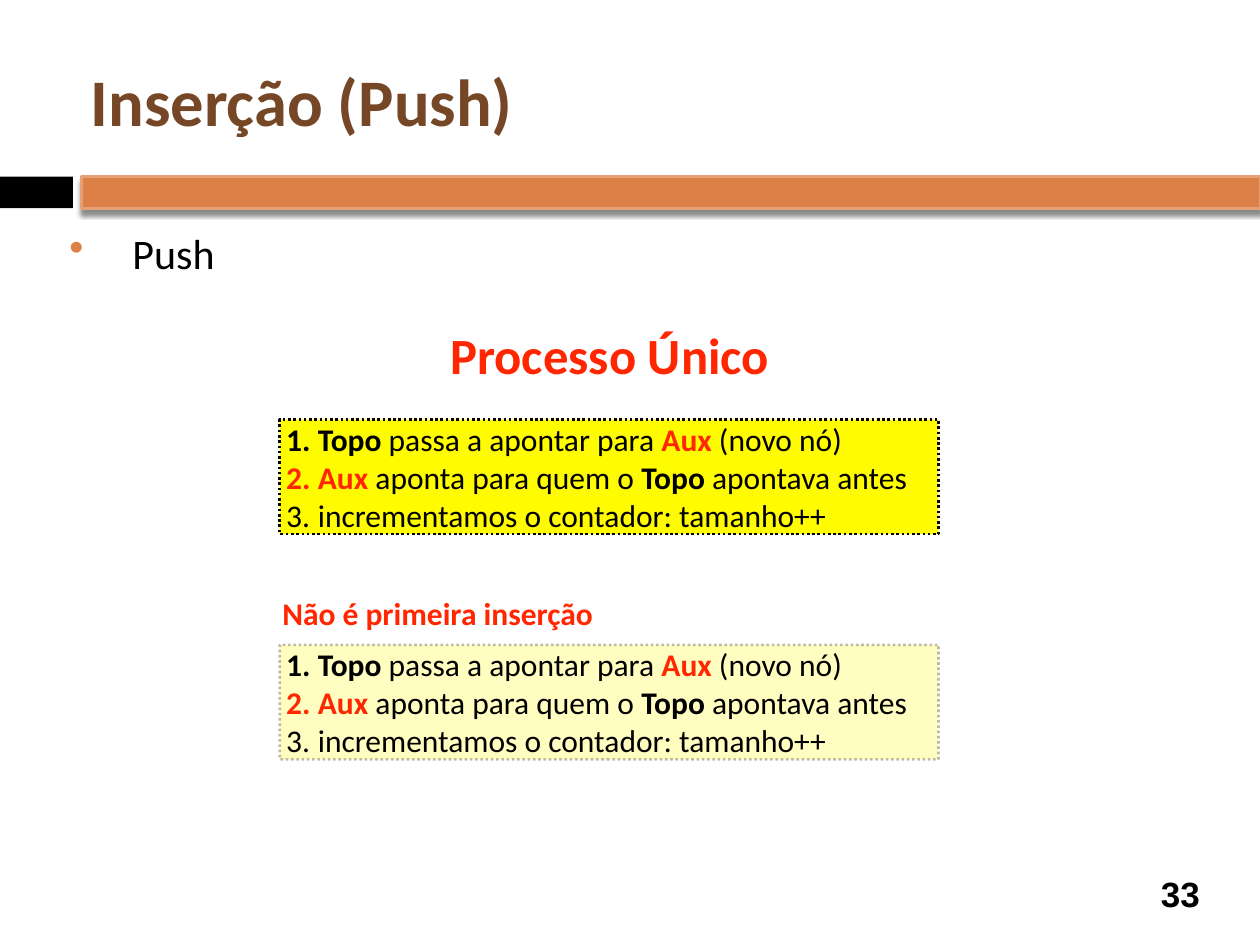
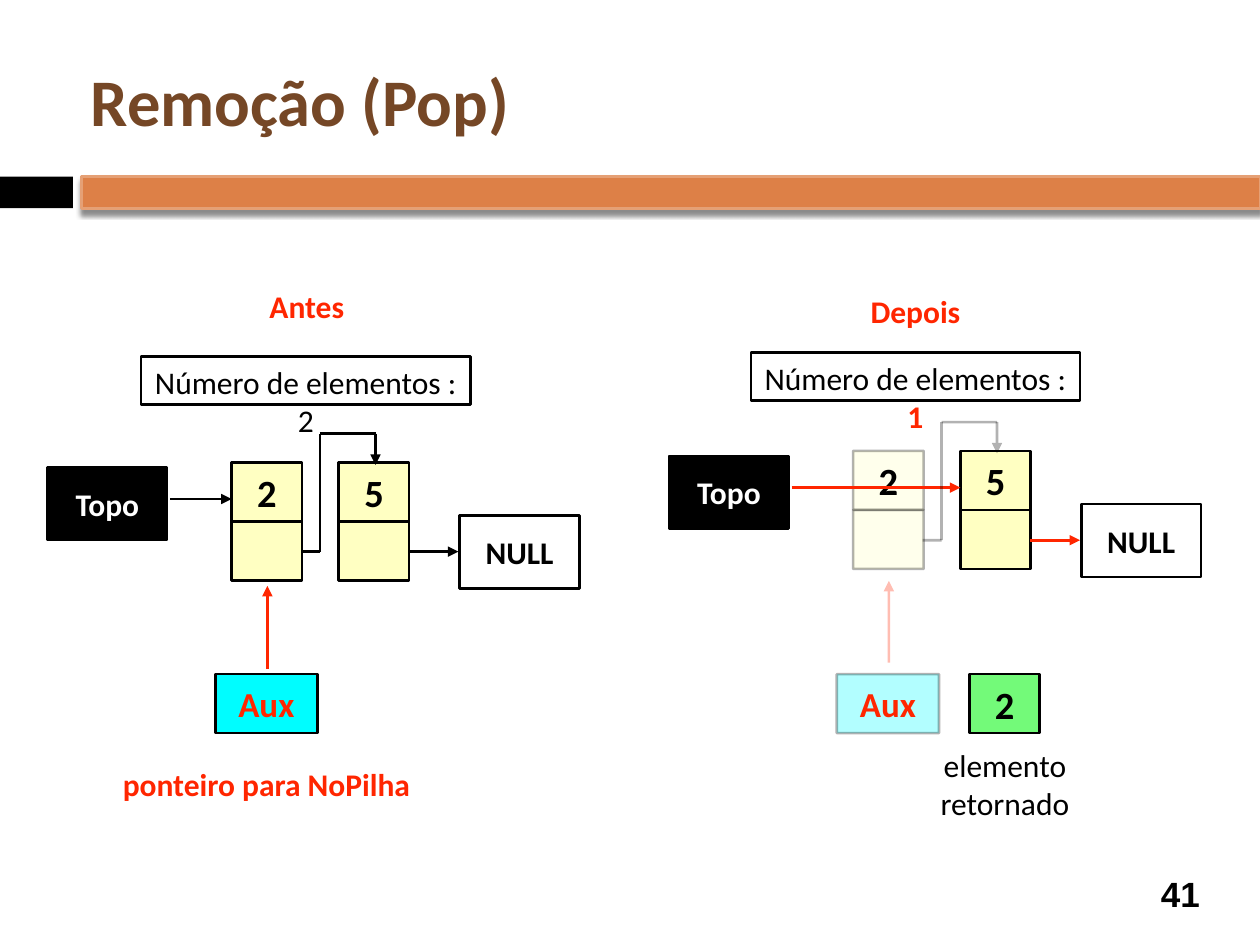
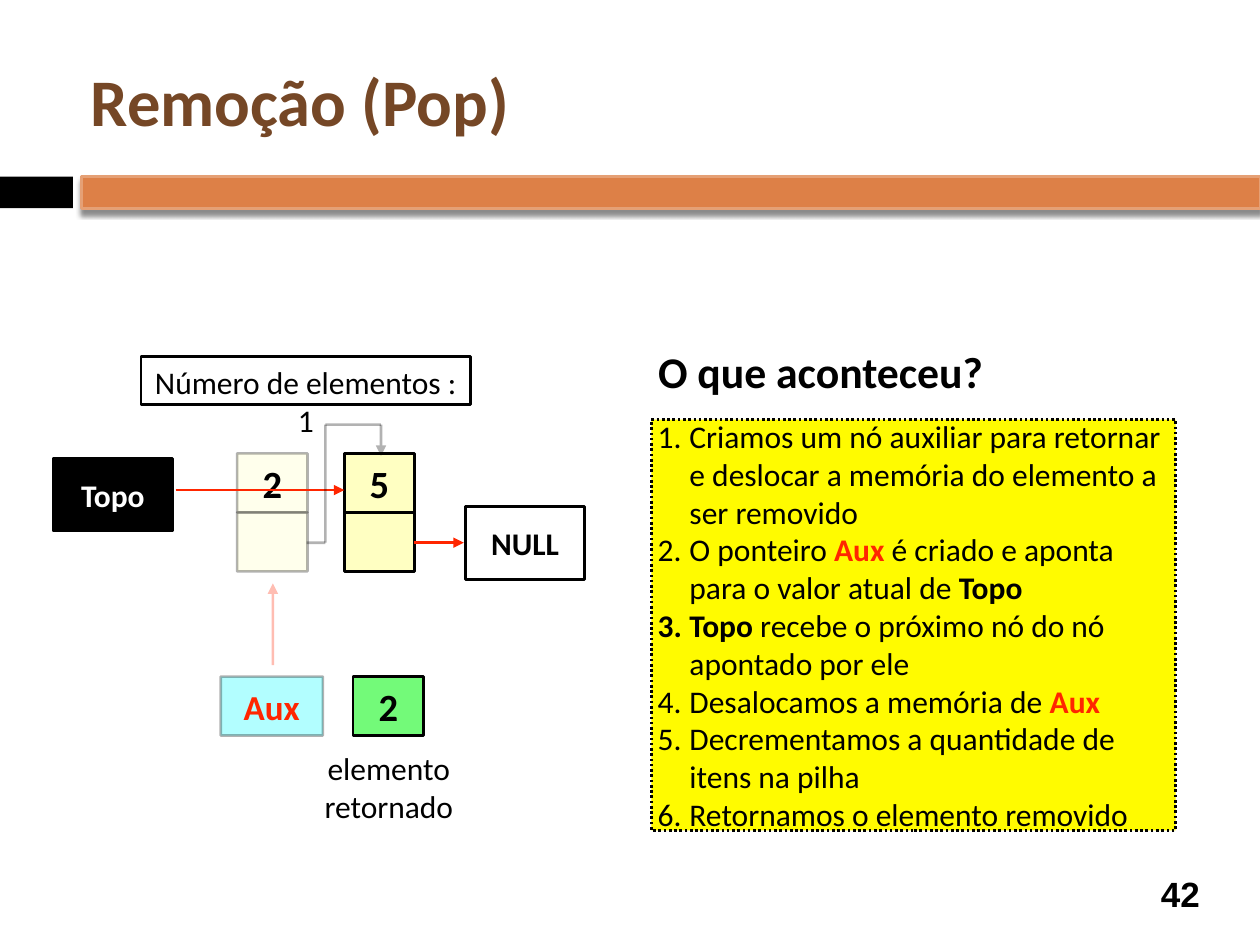
from lxml.etree import SubElement
from pptx import Presentation
from pptx.dml.color import RGBColor
from pptx.enum.dml import MSO_LINE
from pptx.enum.shapes import MSO_CONNECTOR, MSO_SHAPE
from pptx.enum.text import MSO_ANCHOR as Anchor, PP_ALIGN as Align
from pptx.oxml.ns import qn
from pptx.util import Cm, Pt

BLACK, WHITE, RED = "000000", "FFFFFF", "FF2600"
BROWN, ORANGE, EDGE = "754726", "DD8047", "E5A075"
YELLOW, CREAM, CYAN, GREEN = "FFFB00", "FFFFC2", "00FDFF", "73FA79"
FADE = 30

PUSH = [
    "|Topo| passa a apontar para |Aux| (novo nó)",
    "|Aux| aponta para quem o |Topo| apontava antes",
    "incrementamos o contador: tamanho++",
]
POP = [
    "Criamos um nó auxiliar para retornar e deslocar a memória do elemento a ser removido",
    "O ponteiro |Aux| é criado e aponta para o valor atual de |Topo|",
    "|Topo| recebe o próximo nó do nó apontado por ele",
    "Desalocamos a memória de |Aux|",
    "Decrementamos a quantidade de itens na pilha",
    "Retornamos o elemento removido",
]
COUNT = "Número de elementos : "
COUNT_AT = (2.84, 7.19, 6.65, 0.97)

NODE_W, NODE_H, STEP = 1.42, 1.19, 2.16
TAG = (2.41, 1.47)
MID = 1.8
HOP = [(1.4, MID), (1.78, MID), (1.78, -0.58), (2.9, -0.58), (2.9, 0.05)]


def color(code):
    return RGBColor.from_string(code)


def fade(shape, alpha):
    if alpha < 100:
        for node in shape.element.spPr.iter(qn("a:srgbClr")):
            SubElement(node, qn("a:alpha"), val=str(alpha * 1000))


def bullet(par, indent, tag, attrs, tint=None):
    props = par._p.get_or_add_pPr()
    props.set("marL", str(Cm(indent)))
    props.set("indent", str(-Cm(indent)))
    if tint:
        SubElement(SubElement(props, qn("a:buClr")), qn("a:srgbClr"), val=tint)
    SubElement(props, qn(tag), attrs)


def write(shape, lines, size=18, tint=BLACK, bold=False, align=Align.CENTER,
          anchor=Anchor.MIDDLE, wrap=True, face="Calibri"):
    frame = shape.text_frame
    frame.word_wrap = wrap
    frame.vertical_anchor = anchor
    frame.margin_left = frame.margin_right = Cm(0.13)
    frame.margin_top = frame.margin_bottom = Cm(0.13)
    for i, line in enumerate(lines):
        par = frame.add_paragraph() if i else frame.paragraphs[0]
        par.alignment = align
        font = par.font
        font.name, font.size, font.bold = face, Pt(size), bold
        font.color.rgb = color(tint)
        for j, part in enumerate(line.split("|")):
            if part:
                run = par.add_run()
                run.text = part
                if j % 2:
                    run.font.bold = True
                    run.font.color.rgb = color(BLACK if part == "Topo" else RED)
    return frame.paragraphs


def text(slide, at, *lines, **style):
    return write(slide.shapes.add_textbox(*map(Cm, at)), lines, **style)


def box(slide, at, fill=None, edge=BLACK, alpha=100, dots=False):
    shape = slide.shapes.add_shape(MSO_SHAPE.RECTANGLE, *map(Cm, at))
    shape.shadow.inherit = False
    if fill:
        shape.fill.solid()
        shape.fill.fore_color.rgb = color(fill)
    else:
        shape.fill.background()
    if edge:
        shape.line.color.rgb = color(edge)
        shape.line.width = Pt(1.5)
    else:
        shape.line.fill.background()
    if dots:
        shape.line.dash_style = MSO_LINE.ROUND_DOT
    fade(shape, alpha)
    return shape


def line(slide, start, end, tint=BLACK, alpha=100, head=True):
    link = slide.shapes.add_connector(MSO_CONNECTOR.STRAIGHT, *map(Cm, start + end))
    link.line.color.rgb = color(tint)
    link.line.width = Pt(1.5)
    fade(link, alpha)
    props = link.element.spPr
    if head:
        SubElement(props.find(qn("a:ln")), qn("a:tailEnd"), type="triangle")
    SubElement(props, qn("a:effectLst"))


def steps(slide, at, items, alpha=100):
    shape = box(slide, at, YELLOW, alpha=alpha, dots=True)
    for par in write(shape, items, align=Align.LEFT):
        bullet(par, 0.64, "a:buAutoNum", {"type": "arabicPeriod"})


def count(slide, at, value):
    write(box(slide, at), [COUNT + value], anchor=Anchor.TOP)


def stack(slide, left, top, popped):
    alpha = FADE if popped else 100
    tint = RED if popped else BLACK
    low, tail, tip = (4.5, 4.27, 2.62) if popped else (4.27, 4.17, 2.49)

    def pos(x, y):
        return left + x, top + y

    def label(x, y, size, word, fill, ink=BLACK, pt=18, see=100):
        shape = box(slide, pos(x, y) + size, fill, alpha=see)
        write(shape, [word], pt, ink, True)

    cell = (NODE_W, NODE_H)
    for i, (value, see) in enumerate([("2", alpha), ("5", 100)]):
        box(slide, pos(i * STEP, NODE_H) + cell, CREAM, alpha=see)
        label(i * STEP, 0, cell, value, CREAM, pt=22, see=see)
    label(-3.71, 0.1, TAG, "Topo", BLACK, WHITE)
    label(4.6, 1.07, TAG, "NULL", WHITE)
    label(-0.33, low, (2.06, NODE_H), "Aux", CYAN, RED, 20, alpha)

    line(slide, pos(3.56, MID), pos(4.57, MID), tint)
    line(slide, pos(-1.24, 0.74), pos(STEP if popped else 0, 0.74), tint)
    for i, (a, b) in enumerate(zip(HOP, HOP[1:]), 2):
        line(slide, pos(*a), pos(*b), alpha=alpha, head=i == len(HOP))
    line(slide, pos(0.72, tail), pos(0.72, tip), RED, alpha)

    if popped:
        label(2.34, low, cell, "2", GREEN, pt=22)
        text(slide, pos(1.37, 5.92) + (3.38, 1.6), "elemento", "retornado")


def page(deck, title, number):
    slide = deck.slides.add_slide(deck.slide_layouts[6])
    box(slide, (0, 3.56, 1.47, 0.64), BLACK, None)
    band = box(slide, (1.65, 3.56, 23.75, 0.64), ORANGE, EDGE)
    shade = SubElement(band.element.spPr.find(qn("a:effectLst")), qn("a:outerShdw"),
                       blurRad=str(Pt(3)), dist=str(Pt(2.4)), dir="5400000", rotWithShape="0")
    tone = SubElement(shade, qn("a:srgbClr"), val=BLACK)
    SubElement(tone, qn("a:alpha"), val="45000")
    text(slide, (23.06, 17.5, 1.47, 1.04), number, size=20, bold=True, face="Arial")
    text(slide, (1.7, 0.64, 22.66, 2.74), title, size=38, tint=BROWN, bold=True,
         align=Align.LEFT)
    return slide


def push(deck):
    slide = page(deck, "Inserção (Push)", "33")
    par = text(slide, (1.27, 4.45, 22.86, 1.3), "Push", size=24, align=Align.LEFT)[0]
    bullet(par, 1.27, "a:buChar", {"char": "•"}, ORANGE)
    steps(slide, (5.64, 13, 13.28, 2.31), PUSH, 25)
    steps(slide, (5.64, 8.46, 13.28, 2.31), PUSH)
    text(slide, (5.51, 11.91, 6.63, 0.91), "Não é primeira inserção",
         tint=RED, bold=True, wrap=False)
    text(slide, (8.94, 6.45, 6.71, 1.37), "Processo Único",
         size=29, tint=RED, bold=True, wrap=False)


def pop(deck):
    slide = page(deck, "Remoção (Pop)", "41")
    stack(slide, 4.67, 9.32, False)
    stack(slide, 17.2, 9.09, True)
    count(slide, COUNT_AT, "2")
    count(slide, (15.14, 7.11, 6.63, 0.97), "|1|")
    for left, top, word in [(2.64, 5.72, "Antes"), (14.91, 5.82, "Depois"),
                            (1.83, 15.34, "ponteiro para NoPilha")]:
        text(slide, (left, top, 7.09, 0.91), word, tint=RED, bold=True)


def recap(deck):
    slide = page(deck, "Remoção (Pop)", "42")
    count(slide, COUNT_AT, "1")
    stack(slide, 4.78, 9.14, True)
    steps(slide, (13.13, 8.46, 10.57, 8.28), POP)
    text(slide, (13.11, 6.86, 6.86, 1.22), "O que aconteceu?",
         size=25, bold=True, wrap=False)


def main():
    deck = Presentation()
    deck.slide_width, deck.slide_height = Cm(25.4), Cm(19.05)
    for make in (push, pop, recap):
        make(deck)
    deck.save("out.pptx")


if __name__ == "__main__":
    main()
